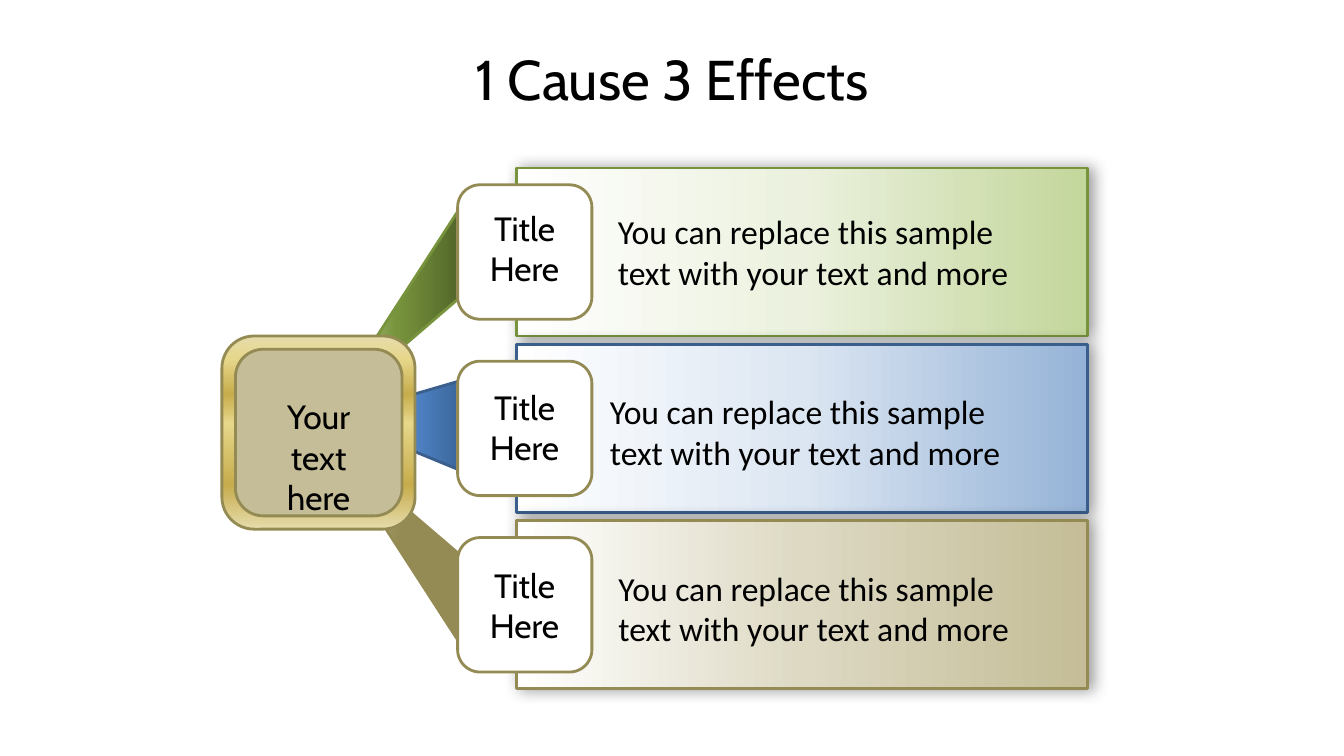
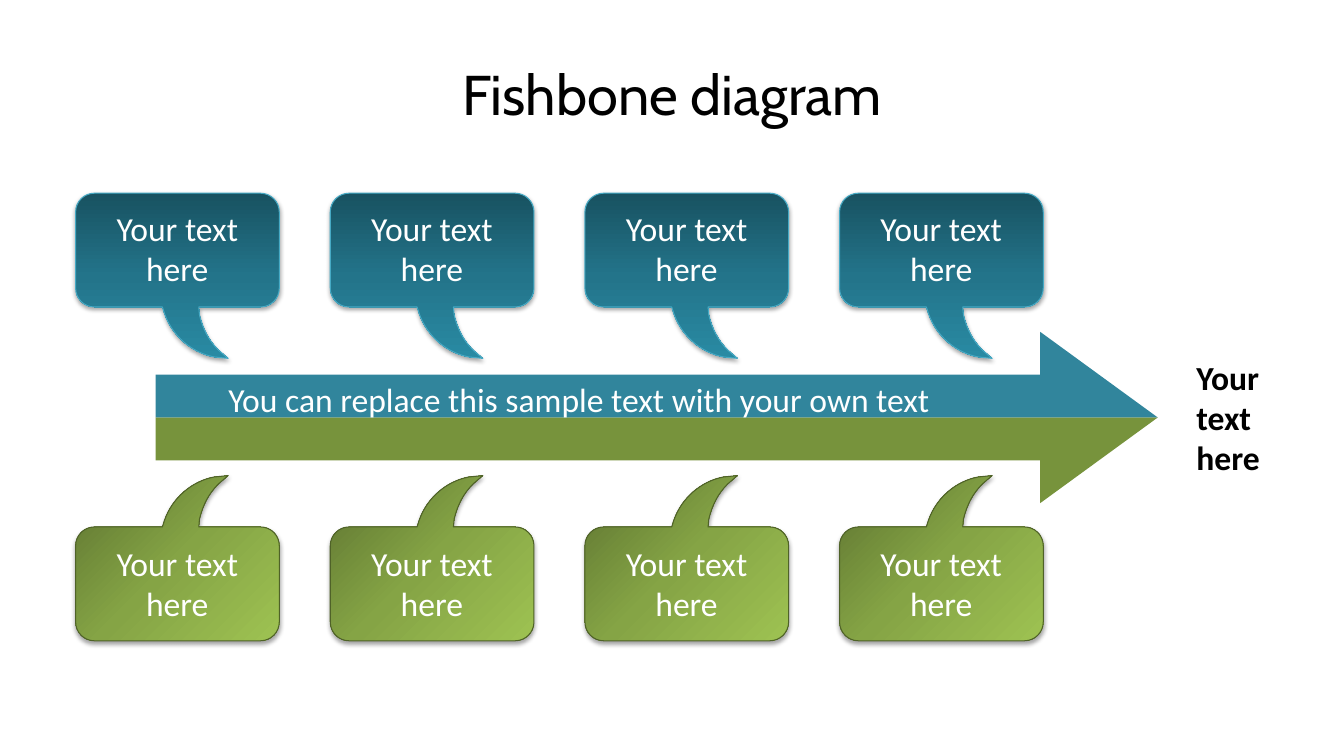
import lxml.etree
import pptx
import pptx.dml.color
import pptx.enum.shapes
import pptx.enum.text
import pptx.oxml.ns
import pptx.util

Pt = pptx.util.Pt
qn = pptx.oxml.ns.qn
SHAPE = pptx.enum.shapes.MSO_SHAPE
ALIGN = pptx.enum.text.PP_ALIGN
ANCHOR = pptx.enum.text.MSO_ANCHOR

SLIDE_W, SLIDE_H = 960, 540
HEAD_FONT, BODY_FONT = "Cabin", "Calibri"

COLORS = {
    "black": "000000", "white": "FFFFFF",
    "green": "77933C", "blue": "3A5F8C", "tan": "948A54", "sand": "C4BD97",
    "teal": "31859C", "teal_edge": "46AAC5", "green_edge": "4F6228",
}

# Gradients: clockwise angle, then (position, colour) stops
GRADIENTS = {
    "green_card": (180, [(0, "C3D69B"), (50, "EBF1DE"), (100, "FFFFFF")]),
    "blue_card": (180, [(0, "95B3D7"), (50, "DCE6F2"), (100, "FFFFFF")]),
    "tan_card": (180, [(0, "C4BD97"), (50, "DDD9C3"), (100, "FFFFFF")]),
    "green_wedge": (0, [(0, "C3D69B"), (50, "77933C"), (100, "4F6228")]),
    "blue_wedge": (0, [(0, "8EB4E3"), (50, "558ED5"), (100, "376092")]),
    "tan_wedge": (0, [(0, "C4BD97"), (50, "948A54"), (100, "948A54")]),
    "gold": (90, [(0, "E6DCAC"), (12, "E6D78A"), (30, "C7AC4C"),
                  (45, "E6D78A"), (77, "C7AC4C"), (100, "E6DCAC")]),
    "teal_bubble": (90, [(0, "185261"), (50, "23748A"), (100, "298AA3")]),
    "green_bubble": (45, [(0, "5D7330"), (50, "85A445"), (100, "9EC252")]),
}

# Shadows: opacity in percent, blur, distance, direction
CARD_SHADOW = (40, 11, 3, 0)
BUBBLE_SHADOW = (35, 3.1, 1.8, 90)

# Slide 1 rows: colour, wedge corners, label top, body left, body top
ROW_TOP, ROW_PITCH = 120, 126
ROWS = [
    ("green", [(332.5, 142.5), (332, 209.5), (235.5, 292.5)], 144.6, 434.3, 147.4),
    ("blue", [(236, 299), (335.5, 270), (335, 338.5), (233, 296.5)], 272.7, 428.6, 276),
    ("tan", [(334, 468), (333.5, 400.5), (237, 318)], 399.8, 434.7, 402),
]

# Slide 2 bubble outline from its top left: 2 numbers a line, 6 a curve
BUBBLE_PATH = [
    (13.5, 0), (132, 0), (139.5, 0, 145.5, 6, 145.5, 13.5),
    (145.5, 67.8), (145.5, 75.3, 139.5, 81.3, 132, 81.3),
    (88, 81.3), (88.5, 87), (91, 97, 95, 105, 102, 112), (109, 118),
    (99, 117), (83, 114, 69, 102, 63.5, 86), (62, 81.3),
    (13.5, 81.3), (6, 81.3, 0, 75.3, 0, 67.8),
    (0, 13.5), (0, 6, 6, 0, 13.5, 0),
]
BUBBLE_COUNT, BUBBLE_LEFT, BUBBLE_PITCH = 4, 54, 181.9


def rgb(name):
    return pptx.dml.color.RGBColor.from_string(COLORS[name])


# Shape styling
def set_gradient(sp, name):
    angle, stops = GRADIENTS[name]
    sp.fill.gradient()
    sp.fill.gradient_angle = -angle % 360
    gs_lst = sp.element.spPr.find(qn("a:gradFill")).find(qn("a:gsLst"))
    gs_lst.clear()
    for pos, color in stops:
        gs = lxml.etree.SubElement(gs_lst, qn("a:gs"), pos=str(pos * 1000))
        lxml.etree.SubElement(gs, qn("a:srgbClr"), val=color)


def set_shadow(sp, opacity, blur, distance, direction):
    effects = sp.element.spPr.find(qn("a:effectLst"))
    shadow = lxml.etree.SubElement(
        effects, qn("a:outerShdw"), blurRad=str(Pt(blur)), dist=str(Pt(distance)),
        dir=str(direction * 60000), algn="ctr", rotWithShape="0")
    color = lxml.etree.SubElement(shadow, qn("a:srgbClr"), val=COLORS["black"])
    lxml.etree.SubElement(color, qn("a:alpha"), val=str(opacity * 1000))


def style(sp, fill, line=None, width=2, shadow=None):
    if fill in GRADIENTS:
        set_gradient(sp, fill)
    else:
        sp.fill.solid()
        sp.fill.fore_color.rgb = rgb(fill)
    if line:
        sp.line.color.rgb = rgb(line)
        sp.line.width = Pt(width)
    else:
        sp.line.fill.background()
    sp.shadow.inherit = False
    if shadow:
        set_shadow(sp, *shadow)


# Element kinds
def add_box(s, kind, x, y, w, h, *look, **options):
    sp = s.shapes.add_shape(kind, Pt(x), Pt(y), Pt(w), Pt(h))
    style(sp, *look, **options)


def make_curves(sp, steps):
    """Turn the three lines drawn for each 6-number step into one cubic curve."""
    lines = iter(list(sp.element.iter(qn("a:lnTo"))))
    for step in steps:
        group = [next(lines) for _ in range(len(step) // 2)]
        if len(group) == 3:
            curve = lxml.etree.Element(qn("a:cubicBezTo"))
            group[0].addprevious(curve)
            for line in group:
                curve.append(line[0])
                line.getparent().remove(line)


def add_outline(s, steps, *look, x=0, y=0, direction=1, **options):
    """Draw a closed outline at x, y; direction -1 turns it upside down."""
    start, *points = [(Pt(x + step[i]), Pt(y + direction * step[i + 1]))
                      for step in steps for i in range(0, len(step), 2)]
    builder = s.shapes.build_freeform(*start, scale=1.0)
    builder.add_line_segments(points, close=True)
    sp = builder.convert_to_shape()
    make_curves(sp, steps[1:])
    style(sp, *look, **options)


def add_text(s, text, x, y, w, h, font=BODY_FONT, size=24, color="black",
             align=ALIGN.LEFT, bold=False):
    tf = s.shapes.add_textbox(Pt(x), Pt(y), Pt(w), Pt(h)).text_frame
    tf.word_wrap = True
    p = tf.paragraphs[0]
    p.text = text
    p.alignment = align
    p.font.name = font
    p.font.size = Pt(size)
    p.font.bold = bold
    p.font.color.rgb = rgb(color)
    return tf


def add_title(s, text, height):
    tf = add_text(s, text, 48, 21.62, SLIDE_W - 96, height,
                  font=HEAD_FONT, size=40, align=ALIGN.CENTER)
    tf.vertical_anchor = ANCHOR.MIDDLE


def add_bubble(s, x, base, direction, text_top, fill, line):
    """Draw a bubble whose flat edge is at base; direction 1 points down, -1 up."""
    add_outline(s, BUBBLE_PATH, fill, line, x=x, y=base, direction=direction,
                width=0.75, shadow=BUBBLE_SHADOW)
    add_text(s, "Your text here", x + 5.6, text_top, 134, 65.5,
             color="white", align=ALIGN.CENTER)


def add_half_arrow(s, direction, fill):
    """Draw one half of the arrow; direction -1 is above the spine, 1 below."""
    left, neck, tip = 111.2, 743, 827
    add_outline(s, [(left, 0), (tip, 0), (neck, 61.2), (neck, 30.6), (left, 30.6)],
                fill, y=298.2, direction=direction)


# Slides
def build_cause_slide(prs):
    s = prs.slides.add_slide(prs.slide_layouts[6])
    add_title(s, "1 Cause 3 Effects", 68.4)
    for i, (color, wedge, label_top, body_left, body_top) in enumerate(ROWS):
        y = ROW_TOP + i * ROW_PITCH
        add_box(s, SHAPE.RECTANGLE, 368.8, y, 408, 120, color + "_card", color,
                shadow=CARD_SHADOW)
        add_outline(s, wedge, color + "_wedge", color)
        add_box(s, SHAPE.ROUNDED_RECTANGLE, 326.9, y + 12, 95.9, 96, "white", "tan")
        add_text(s, "Title Here", 329.2, label_top, 91, 65.5,
                 font=HEAD_FONT, align=ALIGN.CENTER)
        add_text(s, "You can replace this sample text with your text and more",
                 body_left, body_top, 324, 65.5)
    # Cause block over the wedge tips
    add_box(s, SHAPE.ROUNDED_RECTANGLE, 158.5, 240, 138, 138, "gold", "tan")
    add_box(s, SHAPE.ROUNDED_RECTANGLE, 168.2, 249.5, 119, 119, "sand", "tan")
    add_text(s, "Your text here", 176.6, 279.5, 102, 65.5,
             font=HEAD_FONT, align=ALIGN.CENTER)


def build_fishbone_slide(prs):
    s = prs.slides.add_slide(prs.slide_layouts[6])
    add_title(s, "Fishbone diagram", 90.2)
    for i in range(BUBBLE_COUNT):
        x = BUBBLE_LEFT + i * BUBBLE_PITCH
        add_bubble(s, x, 138, 1, 144.8, "teal_bubble", "teal_edge")
        add_bubble(s, x, 457.7, -1, 384.2, "green_bubble", "green_edge")
    # Spine arrow and its result
    add_half_arrow(s, 1, "green")
    add_half_arrow(s, -1, "teal")
    add_text(s, "You can replace this sample text with your own text",
             156, 267, 574, 36, color="white")
    add_text(s, "Your text here", 847.5, 251.2, 73.5, 94.5, bold=True)


def main():
    prs = pptx.Presentation()
    prs.slide_width, prs.slide_height = Pt(SLIDE_W), Pt(SLIDE_H)
    build_cause_slide(prs)
    build_fishbone_slide(prs)
    prs.save("out.pptx")


if __name__ == "__main__":
    main()
